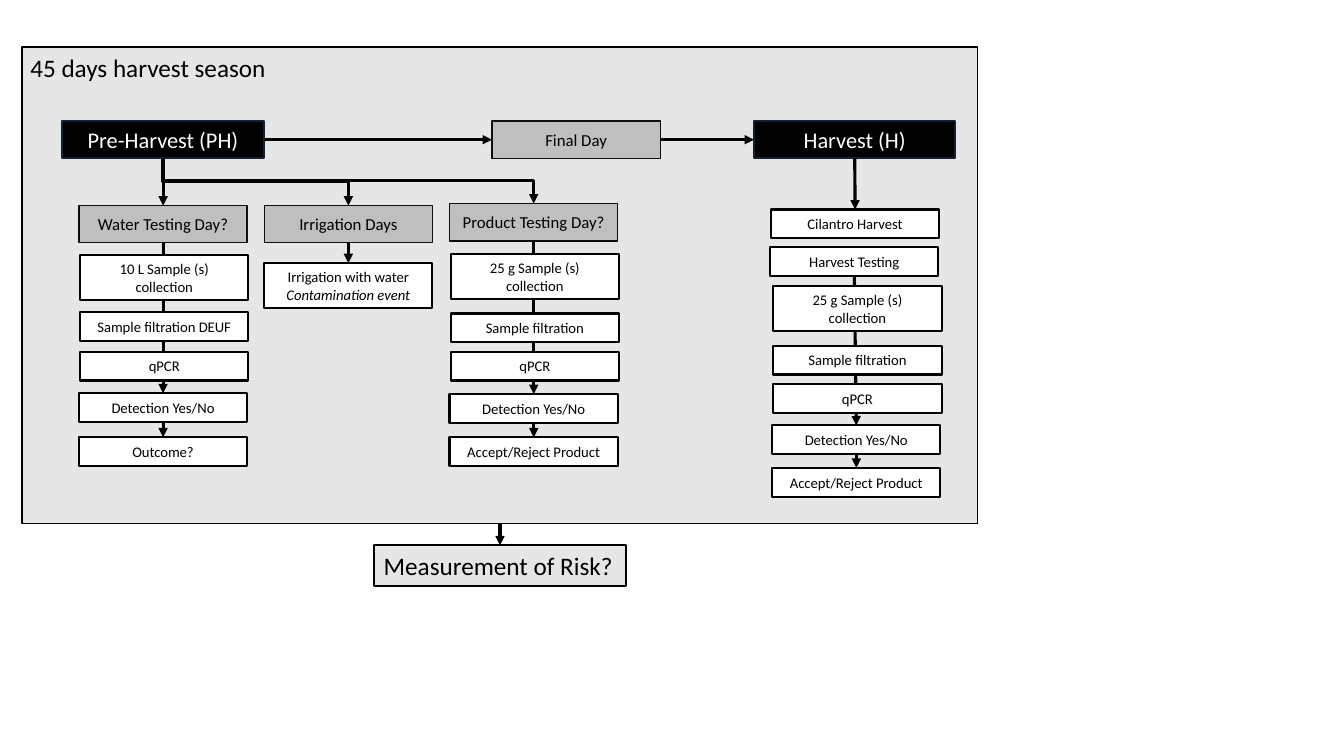
from pptx import Presentation
from pptx.dml.color import RGBColor
from pptx.enum.shapes import MSO_CONNECTOR as Link, MSO_SHAPE as Preset
from pptx.enum.text import MSO_ANCHOR as Anchor, MSO_AUTO_SIZE as AutoSize, PP_ALIGN as Align
from pptx.oxml.ns import qn
from pptx.util import Cm, Pt
from lxml.etree import SubElement

BLACK, WHITE, PALE, GREY = "000000", "FFFFFF", "E7E6E6", "BFBFBF"
BOX_WIDTH, STAGE_HEIGHT, STEP_HEIGHT, TALL_STEP = 4.24, 0.94, 0.73, 1.14
STEP_SHIFT = 0.03


def rgb(hex_colour):
    return RGBColor.from_string(hex_colour)


def write(shape, text, size=10.5, colour=BLACK, align=Align.CENTER,
          anchor=Anchor.MIDDLE, wrap=True, italic_lines=()):
    frame = shape.text_frame
    frame.auto_size = AutoSize.NONE
    frame.word_wrap = wrap
    frame.vertical_anchor = anchor
    for index, line in enumerate(text.split("\n")):
        paragraph = frame.add_paragraph() if index else frame.paragraphs[0]
        paragraph.alignment = align
        run = paragraph.add_run()
        run.text = line
        run.font.name = "Calibri"
        run.font.size = Pt(size)
        run.font.color.rgb = rgb(colour)
        if index in italic_lines:
            run.font.italic = True


def add_box(slide, left, top, width, height, fill=WHITE, line=BLACK, weight=1.5):
    box = slide.shapes.add_shape(Preset.RECTANGLE, Cm(left), Cm(top), Cm(width), Cm(height))
    box.shadow.inherit = False
    box.fill.solid()
    box.fill.fore_color.rgb = rgb(fill)
    box.line.color.rgb = rgb(line)
    box.line.width = Pt(weight)
    return box


def add_phase(slide, left, text):
    phase = add_box(slide, left, 3.05, 5.08, STAGE_HEIGHT, fill=BLACK, line="131F33")
    write(phase, text, size=16, colour=WHITE)
    return phase


def add_stage(slide, left, top, text):
    stage = add_box(slide, left, top, BOX_WIDTH, STAGE_HEIGHT, fill=GREY, line="0D0D0D", weight=1)
    write(stage, text, size=12)
    return stage


def add_step(slide, left, top, text, height=STEP_HEIGHT, **text_format):
    step = add_box(slide, left, top, BOX_WIDTH, height)
    write(step, text, **text_format)
    return step


def add_arrow(slide, start, end, start_side=2, end_side=0, kind=Link.STRAIGHT):
    arrow = slide.shapes.add_connector(kind, 0, 0, 0, 0)
    arrow.begin_connect(start, start_side)
    arrow.end_connect(end, end_side)
    arrow.line.color.rgb = rgb(BLACK)
    arrow.line.width = Pt(2.25)
    properties = arrow.element.spPr
    SubElement(properties.find(qn("a:ln")), qn("a:tailEnd"), type="triangle")
    SubElement(properties, qn("a:effectLst"))
    if kind == Link.ELBOW:
        # Turn the elbow so that it leaves downwards
        across, down = arrow.width, arrow.height
        arrow.left += (across - down) // 2
        arrow.top += (down - across) // 2
        arrow.width, arrow.height = down, across
        frame = properties.find(qn("a:xfrm"))
        frame.set("rot", "16200000")
        frame.set("flipH", "1")


def add_testing_chain(slide, header, left, tops, sample, filtration, result):
    """Lay out sampling, filtration, qPCR, detection and result under a header."""
    sample_top, filtration_top, qpcr_top, detection_top, result_top = tops
    detection = add_step(slide, left, detection_top, "Detection Yes/No")
    outcome = add_step(slide, left, result_top, result)
    add_arrow(slide, header, detection)
    add_arrow(slide, detection, outcome)
    add_step(slide, left + STEP_SHIFT, sample_top, sample, height=TALL_STEP)
    add_step(slide, left + STEP_SHIFT, filtration_top, filtration)
    add_step(slide, left + STEP_SHIFT, qpcr_top, "qPCR")


def main():
    deck = Presentation()
    deck.slide_width, deck.slide_height = Cm(33.87), Cm(19.05)
    slide = deck.slides.add_slide(deck.slide_layouts[5])

    # Season panel with its title in front
    season = add_box(slide, 0.56, 1.19, 24.08, 12.01, fill=PALE, weight=1)
    title = slide.shapes.title
    season.element.addnext(title.element)
    title.left, title.top, title.width, title.height = Cm(0.51), Cm(1.19), Cm(7.04), Cm(1.02)
    write(title, "45 days harvest season", size=18, align=Align.LEFT, anchor=Anchor.TOP)

    # Phases along the top
    pre_harvest = add_phase(slide, 1.57, "Pre-Harvest (PH)")
    final_day = add_stage(slide, 12.4, 3.05, "Final Day")
    harvest = add_phase(slide, 19, "Harvest (H)")
    add_arrow(slide, pre_harvest, final_day, 3, 1)
    add_arrow(slide, final_day, harvest, 3, 1)

    # Pre-harvest branches
    water_testing = add_stage(slide, 1.99, 5.18, "Water Testing Day?")
    irrigation_days = add_stage(slide, 6.66, 5.18, "Irrigation Days")
    product_testing = add_stage(slide, 11.33, 5.13, "Product Testing Day?")
    add_arrow(slide, pre_harvest, water_testing)
    for branch in (irrigation_days, product_testing):
        add_arrow(slide, pre_harvest, branch, kind=Link.ELBOW)

    irrigation = add_step(slide, 6.66, 6.63, "Irrigation with water\nContamination event",
                          height=TALL_STEP, italic_lines=(1,))
    add_arrow(slide, irrigation_days, irrigation)

    # Harvest branch
    cilantro_harvest = add_step(slide, 19.43, 5.28, "Cilantro Harvest")
    harvest_testing = add_step(slide, 19.41, 6.22, "Harvest Testing")
    add_arrow(slide, harvest, cilantro_harvest)

    # Testing chains
    product_sample = "25 g Sample (s) collection"
    product_result = "Accept/Reject Product"
    add_testing_chain(slide, water_testing, 1.99, (6.43, 7.87, 8.86, 9.91, 11.02),
                      "10 L Sample (s) collection", "Sample filtration DEUF", "Outcome?")
    add_testing_chain(slide, product_testing, 11.33, (6.4, 7.9, 8.86, 9.93, 11.02),
                      product_sample, "Sample filtration", product_result)
    add_testing_chain(slide, harvest_testing, 19.46, (7.21, 8.71, 9.68, 10.72, 11.79),
                      product_sample, "Sample filtration", product_result)

    # Outcome of the season
    risk = add_box(slide, 9.42, 13.74, 6.36, 1.02, fill=PALE)
    write(risk, "Measurement of Risk?", size=18, align=Align.LEFT, anchor=Anchor.TOP, wrap=False)
    add_arrow(slide, season, risk)

    deck.save("out.pptx")


if __name__ == "__main__":
    main()
